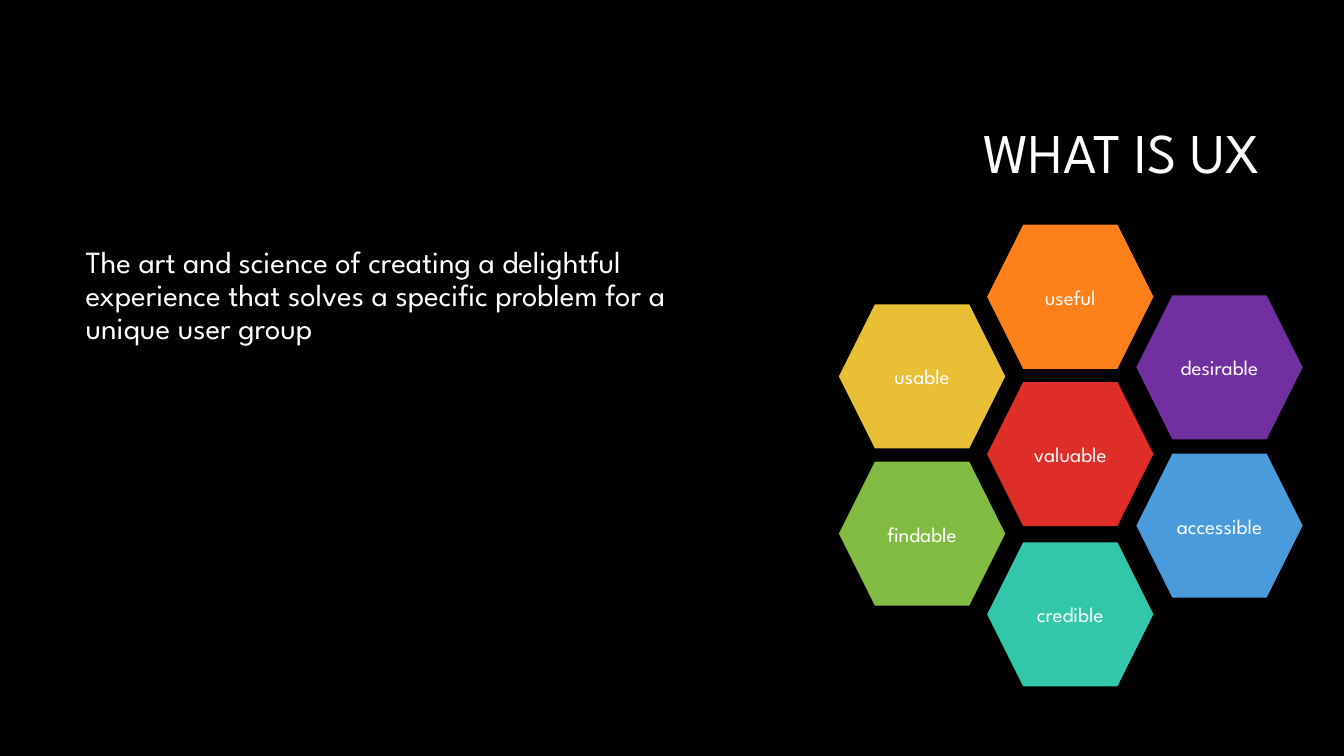
from pptx import Presentation
from pptx.dml.color import RGBColor
from pptx.enum.shapes import MSO_SHAPE
from pptx.enum.text import MSO_ANCHOR, PP_ALIGN
from pptx.util import Inches, Pt

FONT = "League Spartan"
BLACK = RGBColor(0x00, 0x00, 0x00)
WHITE = RGBColor(0xFF, 0xFF, 0xFF)
RED = RGBColor(0xDF, 0x2E, 0x28)
ORANGE = RGBColor(0xFE, 0x80, 0x1A)
YELLOW = RGBColor(0xE9, 0xBF, 0x35)
GREEN = RGBColor(0x81, 0xBB, 0x42)
TEAL = RGBColor(0x32, 0xC7, 0xA9)
BLUE = RGBColor(0x4A, 0x9B, 0xDC)
PURPLE = RGBColor(0x70, 0x30, 0xA0)

TITLE = "WHAT IS UX"
DEFINITION = (
    "The art and science of creating a delightful experience "
    "that solves a specific problem for a unique user group"
)
HEXAGON_COLUMNS = [
    (9.79, [("valuable", RED, 3.79), ("useful", ORANGE, 2.23), ("credible", TEAL, 5.38)]),
    (8.32, [("usable", YELLOW, 3.02), ("findable", GREEN, 4.58)]),
    (11.27, [("accessible", BLUE, 4.5), ("desirable", PURPLE, 2.93)]),
]
HEXAGON_SIZE = (1.65, 1.43)


def place(shape, left, top, width, height):
    """Set the position and size of a shape in inches."""
    shape.left, shape.top = Inches(left), Inches(top)
    shape.width, shape.height = Inches(width), Inches(height)


def write(shape, text, size, alignment, anchor, line_spacing=1.0):
    """Fill a shape with one white paragraph and return it."""
    frame = shape.text_frame
    frame.word_wrap = True
    frame.vertical_anchor = anchor
    paragraph = frame.paragraphs[0]
    paragraph.text = text
    paragraph.alignment = alignment
    paragraph.line_spacing = line_spacing
    paragraph.font.name = FONT
    paragraph.font.size = Pt(size)
    paragraph.font.color.rgb = WHITE
    return paragraph


def add_hexagon(slide, label, color, left, top):
    """Add one labelled hexagon of the honeycomb."""
    position = [Inches(value) for value in (left, top, *HEXAGON_SIZE)]
    hexagon = slide.shapes.add_shape(MSO_SHAPE.HEXAGON, *position)
    hexagon.shadow.inherit = False
    hexagon.fill.solid()
    hexagon.fill.fore_color.rgb = color
    hexagon.line.fill.background()
    frame = hexagon.text_frame
    frame.margin_left = frame.margin_right = frame.margin_top = frame.margin_bottom = 0
    write(hexagon, label, 15, PP_ALIGN.CENTER, MSO_ANCHOR.MIDDLE)


def main():
    """Build the slide and save it."""
    presentation = Presentation()
    presentation.slide_width, presentation.slide_height = Inches(13.33), Inches(7.5)
    slide = presentation.slides.add_slide(presentation.slide_layouts[5])
    slide.background.fill.solid()
    slide.background.fill.fore_color.rgb = BLACK

    title = slide.shapes.title
    place(title, 3.17, 0.84, 9.42, 1.41)
    write(title, TITLE, 40, PP_ALIGN.RIGHT, MSO_ANCHOR.MIDDLE, 0.9)

    definition = slide.shapes.add_textbox(Inches(0.75), Inches(2.4), Inches(6.25), Inches(4.4))
    paragraph = write(definition, DEFINITION, 22, PP_ALIGN.LEFT, MSO_ANCHOR.TOP, 0.9)
    paragraph.space_before = Pt(10)

    for left, hexagons in HEXAGON_COLUMNS:
        for label, color, top in hexagons:
            add_hexagon(slide, label, color, left, top)

    presentation.save("out.pptx")


if __name__ == "__main__":
    main()
